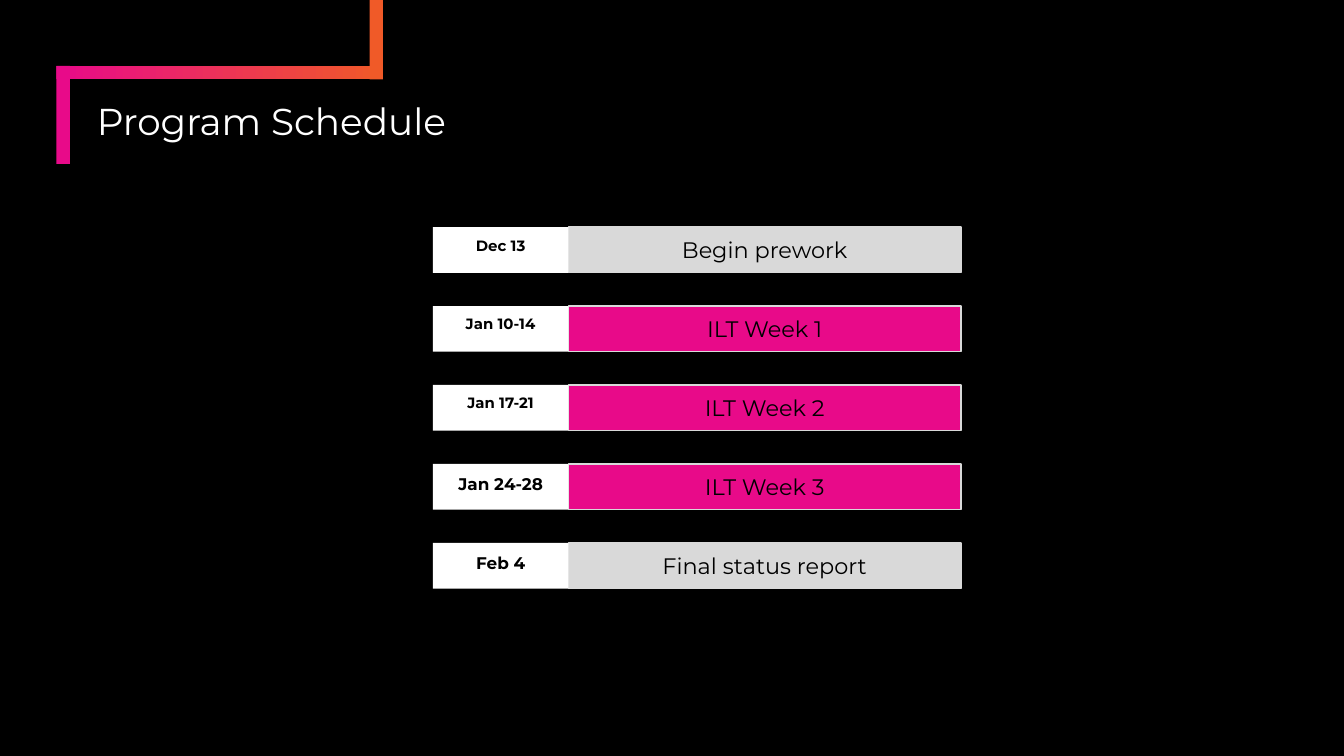
from pptx import Presentation
from pptx.dml.color import RGBColor
from pptx.enum.shapes import MSO_SHAPE as Preset
from pptx.enum.text import MSO_ANCHOR as Anchor, MSO_AUTO_SIZE as AutoSize, PP_ALIGN as Align
from pptx.util import Inches, Pt

COLORS = {
    "black": "000000",
    "white": "FFFFFF",
    "pink": "E80A89",
    "orange": "F05A28",
    "gray": "D9D9D9",
}

# Date, date size, event, event fill
SCHEDULE = [
    ("Dec 13", 8, "Begin prework", "gray"),
    ("Jan 10-14", 8, "ILT Week 1", "pink"),
    ("Jan 17-21", 8, "ILT Week 2", "pink"),
    ("Jan 24-28", 9, "ILT Week 3", "pink"),
    ("Feb 4", 9, "Final status report", "gray"),
]

# Schedule grid, in inches
FIRST_TOP, LAST_TOP, ROW_HEIGHT = 1.69, 4.04, 0.34
PITCH = (LAST_TOP - FIRST_TOP) / (len(SCHEDULE) - 1)
DATE_LEFT, DATE_WIDTH = 3.22, 1.01
EVENT_LEFT, EVENT_WIDTH = DATE_LEFT + DATE_WIDTH, 2.92


def color(name):
    return RGBColor.from_string(COLORS[name])


def write(shape, text, inset, align, frame_format, font_format, font_color):
    frame = shape.text_frame
    frame.text = text
    for side in ("left", "top", "right", "bottom"):
        setattr(frame, f"margin_{side}", Inches(inset))
    for key, value in frame_format.items():
        setattr(frame, key, value)
    para = frame.paragraphs[0]
    para.alignment = align
    font = para.runs[0].font
    for key, value in {"name": "Montserrat", **font_format}.items():
        setattr(font, key, value)
    font.color.rgb = color(font_color)
    return para


def add_box(page, left, top, width, height, fill, line=None):
    box = page.shapes.add_shape(
        Preset.RECTANGLE, Inches(left), Inches(top), Inches(width), Inches(height))
    box.shadow.inherit = False
    box.fill.solid()
    box.fill.fore_color.rgb = color(fill)
    if line:
        box.line.color.rgb = color(line)
        box.line.width = Pt(0.75)
    else:
        box.line.fill.background()
    return box


def add_corner_band(page):
    """Draw the stepped band that frames the title."""
    thick, left, top, width = 0.1, 0.42, 0.49, 2.43
    across = add_box(page, left, top, width, thick, "pink")
    across.fill.gradient()
    across.fill.gradient_angle = 0
    for stop, name in zip(across.fill.gradient_stops, ("pink", "orange")):
        stop.color.rgb = color(name)
    add_box(page, left, top, thick, 0.73, "pink")
    add_box(page, left + width - thick, 0, thick, top + thick, "orange")


def add_title(page, text):
    title = page.shapes.title
    place = {"left": 0.67, "top": 0.78, "width": 9.03, "height": 0.34}
    for key, value in place.items():
        setattr(title, key, Inches(value))
    frame_format = {"vertical_anchor": Anchor.BOTTOM, "auto_size": AutoSize.NONE,
                    "word_wrap": True}
    para = write(title, text, 0.05, Align.LEFT, frame_format, {"size": Pt(20)}, "white")
    para.line_spacing = 0.9


def add_schedule_row(page, row, date, date_size, event, fill):
    top = FIRST_TOP + row * PITCH
    event_box = add_box(page, EVENT_LEFT, top, EVENT_WIDTH, ROW_HEIGHT, fill, "gray")
    write(event_box, event, 0.1, Align.CENTER, {"vertical_anchor": Anchor.MIDDLE},
          {"size": Pt(12)}, "black")
    date_box = add_box(page, DATE_LEFT, top, DATE_WIDTH, ROW_HEIGHT, "white")
    write(date_box, date, 0.1, Align.CENTER,
          {"vertical_anchor": Anchor.TOP, "auto_size": AutoSize.SHAPE_TO_FIT_TEXT},
          {"size": Pt(date_size), "bold": True}, "black")


def main():
    deck = Presentation()
    deck.slide_width = Inches(10)
    deck.slide_height = deck.slide_width * 9 // 16
    page = deck.slides.add_slide(deck.slide_layouts.get_by_name("Title Only"))
    page.background.fill.solid()
    page.background.fill.fore_color.rgb = color("black")
    add_corner_band(page)
    add_title(page, "Program Schedule")
    for row, entry in enumerate(SCHEDULE):
        add_schedule_row(page, row, *entry)
    deck.save("out.pptx")


if __name__ == "__main__":
    main()
